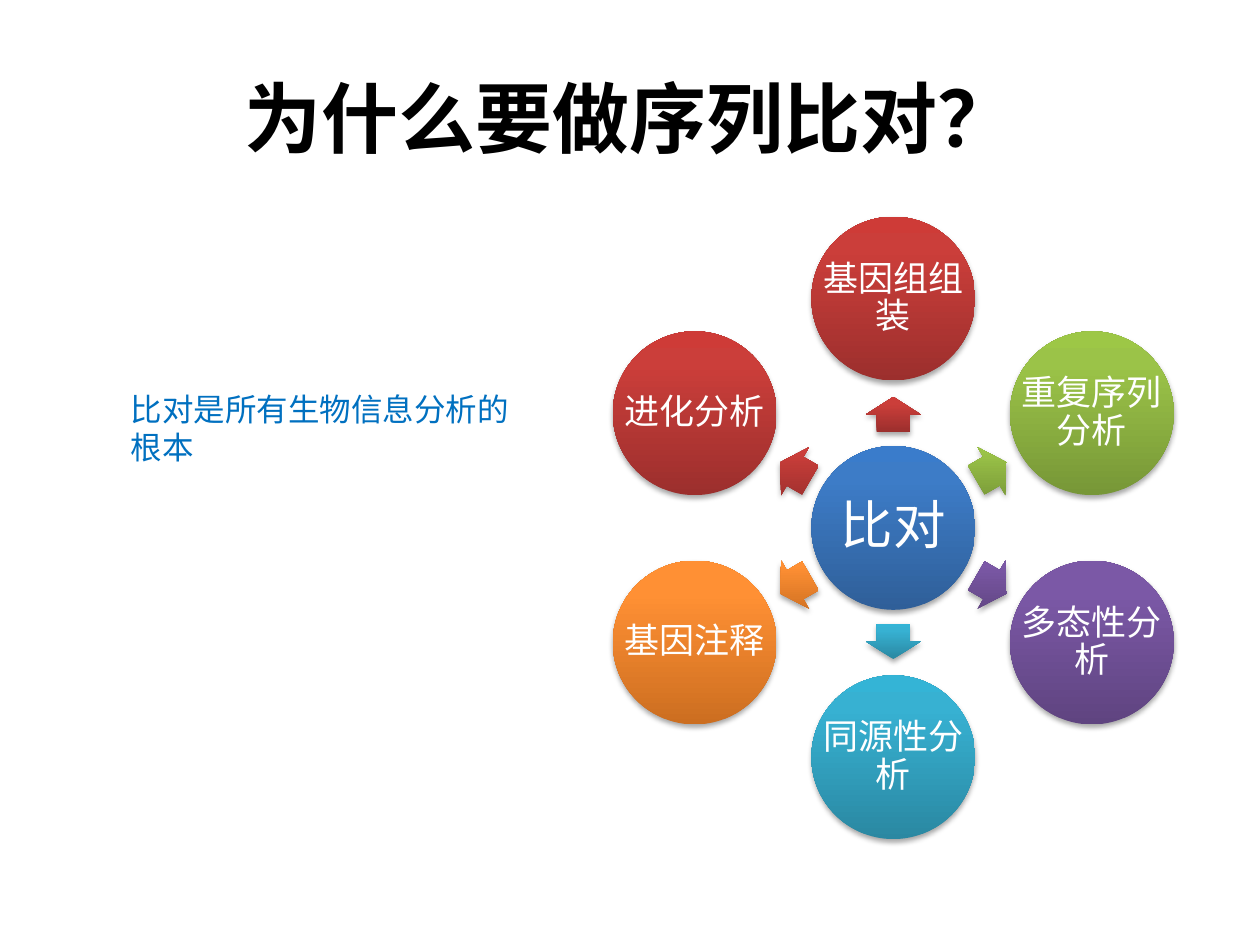
from dataclasses import dataclass
from math import cos, radians, sin

from lxml import etree
from pptx import Presentation
from pptx.dml.color import RGBColor
from pptx.enum.shapes import MSO_SHAPE
from pptx.enum.text import MSO_ANCHOR, PP_ALIGN
from pptx.oxml import parse_xml
from pptx.oxml.ns import qn
from pptx.util import Inches, Pt

DRAWING_NS = 'xmlns:a="http://schemas.openxmlformats.org/drawingml/2006/main"'


@dataclass(frozen=True)
class Theme:
    black: str = "000000"
    white: str = "FFFFFF"
    caption: str = "0070C0"
    blue: tuple = ("2F5F99", "3D7CC7", "3A7CCB")
    red: tuple = ("9C2F2D", "CB3E3A", "CE3B37")
    green: tuple = ("779737", "9BC348", "9DC746")
    purple: tuple = ("5F4480", "7B58A6", "7C57A8")
    teal: tuple = ("2A88A2", "37B1D2", "34B4D6")
    orange: tuple = ("CC6E20", "FF9034", "FF9136")
    cjk_font: str = "Noto Sans CJK SC"
    latin_font: str = "Calibri"
    title_size: int = 44
    hub_size: int = 30
    node_size: int = 20
    caption_size: int = 18


THEME = Theme()
CENTER_X, CENTER_Y = 7.09, 4.19
NODE_RADIUS, ARROW_RADIUS = 1.82, 0.9
DIAMETER = 1.3
ARROW_W, ARROW_H = 0.28, 0.44


def add_text(shapes, text, box, *, size, color, font=THEME.latin_font, bold=False,
             align=PP_ALIGN.LEFT, anchor=MSO_ANCHOR.TOP, inset=None, spacing=None):
    tf = shapes.add_textbox(*map(Inches, box)).text_frame
    tf.word_wrap = True
    tf.vertical_anchor = anchor
    if inset is not None:
        tf.margin_left = tf.margin_right = Inches(inset)
        tf.margin_top = tf.margin_bottom = Inches(inset)
    p = tf.paragraphs[0]
    p.alignment = align
    if spacing is not None:
        p.line_spacing = spacing
    r = p.add_run()
    r.text = text
    r.font.name = font
    r.font.size = Pt(size)
    r.font.bold = bold
    r.font.color.rgb = RGBColor.from_string(color)
    if font == THEME.cjk_font:
        etree.SubElement(r.font._element, qn("a:ea")).set("typeface", font)


def style_shape(sp, colors):
    sp.line.fill.background()
    stops = "".join(
        f'<a:gs pos="{pos}"><a:srgbClr val="{color}"/></a:gs>'
        for pos, color in zip((0, 80000, 100000), colors)
    )
    gradient = parse_xml(
        f'<a:gradFill {DRAWING_NS} rotWithShape="0"><a:gsLst>{stops}</a:gsLst>'
        '<a:lin ang="16200000" scaled="0"/></a:gradFill>'
    )
    shadow = parse_xml(
        f'<a:effectLst {DRAWING_NS}><a:outerShdw blurRad="{Pt(3.1)}" dist="{Pt(1.8)}" '
        'dir="5400000" rotWithShape="0"><a:srgbClr val="000000">'
        '<a:alpha val="35000"/></a:srgbClr></a:outerShdw></a:effectLst>'
    )
    properties = sp._element.spPr
    properties.find(qn("a:ln")).addprevious(gradient)
    properties.append(shadow)


def polar_box(radius, angle, width, height):
    x = CENTER_X + radius * cos(radians(angle))
    y = CENTER_Y + radius * sin(radians(angle))
    return x - width / 2, y - height / 2, width, height


def add_circle(shapes, text, box, colors, size, inset):
    sp = shapes.add_shape(MSO_SHAPE.OVAL, *map(Inches, box))
    style_shape(sp, colors)
    add_text(shapes, text, box, size=size, color=THEME.white, align=PP_ALIGN.CENTER,
             anchor=MSO_ANCHOR.MIDDLE, inset=inset, spacing=0.9)


def add_arrow(shapes, angle, colors):
    box = polar_box(ARROW_RADIUS, angle, ARROW_W, ARROW_H)
    sp = shapes.add_shape(MSO_SHAPE.RIGHT_ARROW, *map(Inches, box))
    sp.adjustments[0] = 0.6
    sp.adjustments[1] = 0.5
    sp.rotation = angle % 360
    style_shape(sp, colors)


def add_radial_diagram(slide, hub, nodes):
    shapes = slide.shapes.add_group_shape().shapes
    hub_box = polar_box(0, 0, DIAMETER, DIAMETER)
    add_circle(shapes, hub, hub_box, THEME.blue, THEME.hub_size, 0.04)
    for i, (text, colors) in enumerate(nodes):
        angle = -90 + i * 360 / len(nodes)
        add_arrow(shapes, angle, colors)
        node_box = polar_box(NODE_RADIUS, angle, DIAMETER, DIAMETER)
        add_circle(shapes, text, node_box, colors, THEME.node_size, 0.03)


def main():
    prs = Presentation()
    prs.slide_width, prs.slide_height = Inches(10), Inches(7.5)
    slide = prs.slides.add_slide(prs.slide_layouts[6])
    add_text(slide.shapes, "为什么要做序列比对？", (0.5, 0.3, 9, 1.25),
             size=THEME.title_size, color=THEME.black, font=THEME.cjk_font,
             bold=True, align=PP_ALIGN.CENTER, anchor=MSO_ANCHOR.MIDDLE)
    add_radial_diagram(slide, "比对", [
        ("基因组组装", THEME.red),
        ("重复序列分析", THEME.green),
        ("多态性分析", THEME.purple),
        ("同源性分析", THEME.teal),
        ("基因注释", THEME.orange),
        ("进化分析", THEME.red),
    ])
    add_text(slide.shapes, "比对是所有生物信息分析的根本", (0.94, 3.05, 3.28, 1.04),
             size=THEME.caption_size, color=THEME.caption, font=THEME.cjk_font)
    prs.save("out.pptx")


if __name__ == "__main__":
    main()
